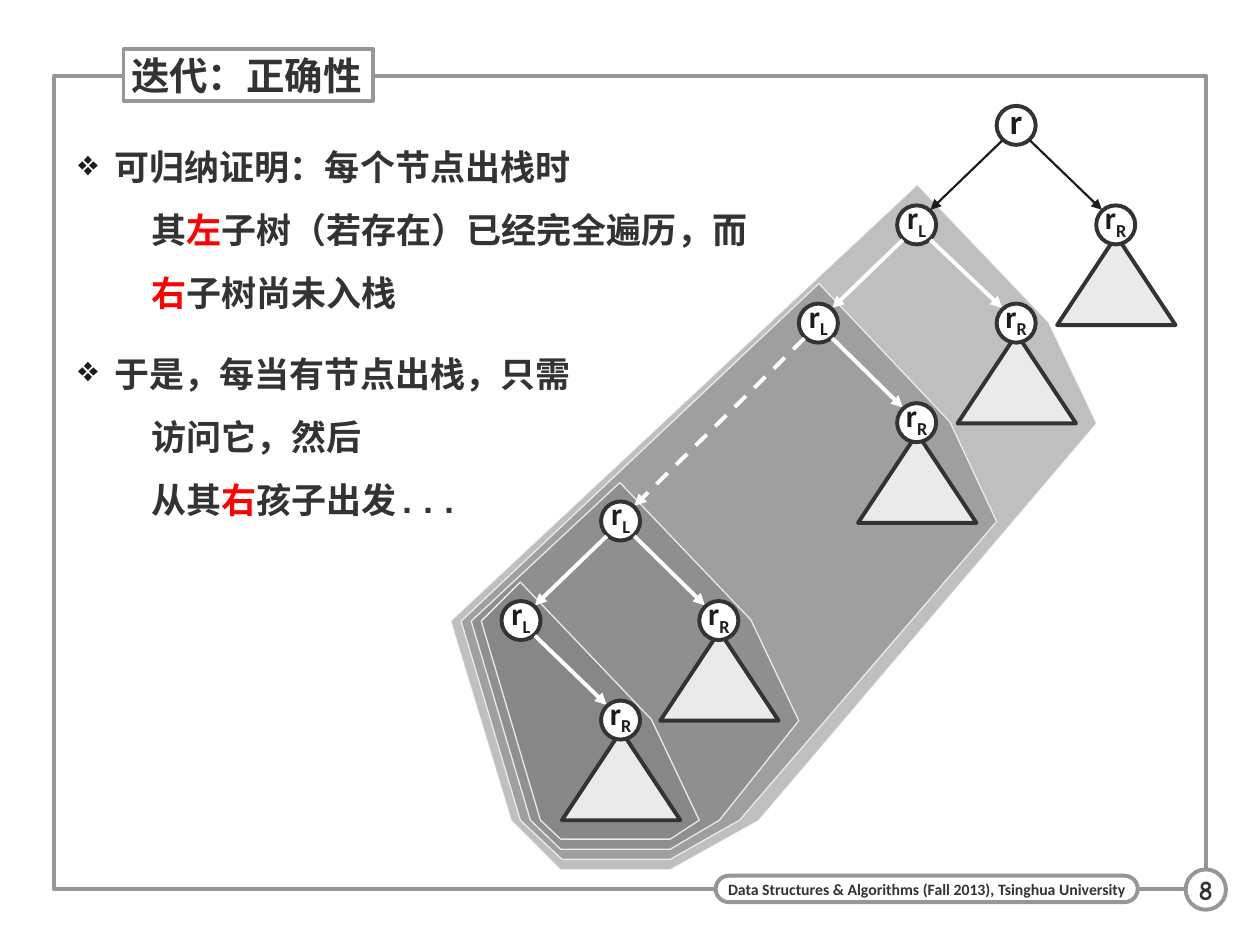
from dataclasses import dataclass
from typing import Any, Optional

from lxml import etree
from pptx import Presentation
from pptx.dml.color import RGBColor
from pptx.enum.dml import MSO_LINE
from pptx.enum.shapes import MSO_CONNECTOR, MSO_SHAPE
from pptx.enum.text import MSO_ANCHOR, PP_ALIGN
from pptx.oxml.ns import qn
from pptx.util import Emu, Pt

RECTANGLE, ROUNDED = MSO_SHAPE.RECTANGLE, MSO_SHAPE.ROUNDED_RECTANGLE
ELLIPSE, TRIANGLE = MSO_SHAPE.OVAL, MSO_SHAPE.ISOSCELES_TRIANGLE
STRAIGHT, DASH = MSO_CONNECTOR.STRAIGHT, MSO_LINE.DASH
TOP, MIDDLE = MSO_ANCHOR.TOP, MSO_ANCHOR.MIDDLE
LEFT, CENTER = PP_ALIGN.LEFT, PP_ALIGN.CENTER

WHITE = RGBColor(0xFF, 0xFF, 0xFF)
PALE = RGBColor(0xEA, 0xEA, 0xEA)
FRAME_GRAY = RGBColor(0x96, 0x96, 0x96)
REGION_GRAY = RGBColor(0x80, 0x80, 0x80)
INK = RGBColor(0x33, 0x33, 0x33)
BLACK = RGBColor(0x1C, 0x1C, 0x1C)
RED = RGBColor(0xFF, 0x00, 0x00)

EMU_PER_PX = 9144  # 100 px to the inch
NODE_SIZE = 31
ROOT_LEFT, ROOT_TOP = 791, 84
NODE_STEP = 78.6


def px(length: float) -> Emu:
    return Emu(round(length * EMU_PER_PX))


def set_attributes(target: Any, values: dict[str, Any]) -> None:
    for name, value in values.items():
        setattr(target, name, value)


@dataclass(frozen=True)
class Style:
    size: float
    font: str
    color: RGBColor = INK


@dataclass(frozen=True)
class Box:
    kind: MSO_SHAPE
    left: int
    top: int
    width: int
    height: int
    line: RGBColor = INK
    fill: Optional[RGBColor] = WHITE


@dataclass(frozen=True)
class Node:
    column: int
    row: int
    subscript: str = ""
    parent: Optional["Node"] = None

    @property
    def left(self) -> int:
        return ROOT_LEFT + round(self.column * NODE_STEP)

    @property
    def top(self) -> int:
        return ROOT_TOP + round(self.row * NODE_STEP)


@dataclass(frozen=True)
class Region:
    points: tuple[tuple[int, int], ...]
    line_width: float = 0.75


ROOT = Node(0, 0)
LEFT_1 = Node(-1, 1, "L", ROOT)
LEFT_2 = Node(-2, 2, "L", LEFT_1)
LEFT_3 = Node(-4, 4, "L", LEFT_2)
LEFT_4 = Node(-5, 5, "L", LEFT_3)
SPINE = (ROOT, LEFT_1, LEFT_2, LEFT_3, LEFT_4)
RIGHT_CHILDREN = tuple(Node(node.column + 1, node.row + 1, "R", node) for node in SPINE)

REGIONS = (
    Region(((445, 690), (532, 690), (602, 651), (870, 336), (832, 256),
            (728, 147), (358, 493), (406, 651)), 0.25),
    Region(((650, 225), (754, 335), (791, 414), (587, 651), (532, 682),
            (446, 682), (413, 651), (366, 493))),
    Region(((492, 383), (596, 492), (634, 572), (571, 651), (532, 674),
            (445, 674), (421, 651), (374, 493))),
    Region(((413, 462), (382, 493), (429, 651), (445, 666), (532, 666),
            (555, 651), (517, 571))),
)

# Paragraphs hold lines, and lines hold (text, colour) runs.
BODY = (
    ((("可归纳证明：每个节点出栈时", INK),),
     (("\t其", INK), ("左", RED), ("子树（若存在）已经完全遍历，而", INK)),
     (("\t", INK), ("右", RED), ("子树尚未入栈", INK))),
    ((("于是，每当有节点出栈，只需", INK),),
     (("\t访问它，然后", INK),),
     (("\t从其", INK), ("右", RED), ("孩子出发...", INK))),
)


def add_run(paragraph: Any, text: str, style: Style) -> Any:
    run = paragraph.add_run()
    run.text = text
    set_attributes(run.font, {"size": Pt(style.size), "name": style.font, "bold": True})
    run.font.color.rgb = style.color
    return run


def set_frame(frame: Any, insets: tuple[int, int, int, int], wrap: bool, anchor: MSO_ANCHOR) -> None:
    """Set the insets (left, top, right, bottom), the wrapping and the anchor."""
    left, top, right, bottom = map(px, insets)
    set_attributes(frame, {"margin_left": left, "margin_top": top, "margin_right": right,
                           "margin_bottom": bottom, "word_wrap": wrap, "vertical_anchor": anchor})


def add_box(slide: Any, box: Box) -> Any:
    shape = slide.shapes.add_shape(box.kind, *map(px, (box.left, box.top, box.width, box.height)))
    shape.shadow.inherit = False
    if box.fill is None:
        shape.fill.background()
    else:
        shape.fill.solid()
        shape.fill.fore_color.rgb = box.fill
    shape.line.color.rgb = box.line
    shape.line.width = Pt(2.25)
    return shape


def add_label(slide: Any, box: Box, text: str, style: Style,
              insets: tuple[int, int, int, int], alignment: PP_ALIGN = CENTER) -> Any:
    """Draw a box with one line of text and return its paragraph."""
    shape = add_box(slide, box)
    if box.kind == ROUNDED:
        shape.adjustments[0] = 0.5
    set_frame(shape.text_frame, insets, False, MIDDLE)
    paragraph = shape.text_frame.paragraphs[0]
    paragraph.alignment = alignment
    add_run(paragraph, text, style)
    return paragraph


def add_region(slide: Any, region: Region) -> None:
    builder = slide.shapes.build_freeform(*region.points[0], scale=EMU_PER_PX)
    builder.add_line_segments(region.points[1:], close=True)
    shape = builder.convert_to_shape()
    shape.shadow.inherit = False
    shape.fill.solid()
    shape.fill.fore_color.rgb = REGION_GRAY
    color = shape.fill._xPr.find(qn("a:solidFill"))[0]
    etree.SubElement(color, qn("a:alpha"), val="50000")
    shape.line.color.rgb = PALE
    shape.line.width = Pt(region.line_width)


def add_edge(slide: Any, parent: Node, child: Node) -> None:
    side = 1 if child.column > parent.column else -1
    middle = NODE_SIZE / 2
    connector = slide.shapes.add_connector(STRAIGHT, *map(px, (
        parent.left + middle + side * 11, parent.top + middle + 12,
        child.left + middle - side * 11, child.top + middle - 12)))
    from_root = parent is ROOT
    connector.line.color.rgb = BLACK if from_root else WHITE
    connector.line.width = Pt(1.25 if from_root else 2.25)
    if child.row - parent.row > 1:
        connector.line.dash_style = DASH
    etree.SubElement(connector.line._get_or_add_ln(), qn("a:tailEnd"), type="triangle")
    etree.SubElement(connector._element.spPr, qn("a:effectLst"))


def add_node(slide: Any, node: Node) -> None:
    """Draw a node with its edge from the parent and, for a right child, its subtree."""
    if node.subscript == "R":
        add_box(slide, Box(TRIANGLE, node.left - 31, node.top + 24, 94, 71, fill=PALE))
    if node.parent:
        add_edge(slide, node.parent, node)
    style = Style(18 if node.parent else 20, "Calibri", BLACK)
    circle = Box(ELLIPSE, node.left, node.top, NODE_SIZE, NODE_SIZE)
    paragraph = add_label(slide, circle, "r", style, (0, 0, 0, 8))
    if node.subscript:
        run = add_run(paragraph, node.subscript, style)
        run.font._element.set("baseline", "-25000")


def add_bullet(paragraph: Any) -> None:
    properties = paragraph._p.get_or_add_pPr()
    properties.set("marL", str(px(29)))
    properties.set("indent", str(px(-29)))
    bullet_color = etree.SubElement(properties, qn("a:buClr"))
    etree.SubElement(bullet_color, qn("a:srgbClr"), val=str(BLACK))
    etree.SubElement(properties, qn("a:buChar"), char="❖")
    tabs = etree.SubElement(properties, qn("a:tabLst"))
    for position in (29, 58):
        etree.SubElement(tabs, qn("a:tab"), pos=str(px(position)), algn="l")


def add_body(slide: Any) -> None:
    frame = slide.shapes.add_textbox(*map(px, (46, 91, 911, 591))).text_frame
    set_frame(frame, (16, 8, 0, 8), True, TOP)
    for index, lines in enumerate(BODY):
        paragraph = frame.add_paragraph() if index else frame.paragraphs[0]
        add_bullet(paragraph)
        set_attributes(paragraph, {"line_spacing": 1.5, "space_after": Pt(2.5),
                                   "space_before": Pt(7.5 if index else 0)})
        for line_index, runs in enumerate(lines):
            if line_index:
                paragraph.add_line_break()
            for text, color in runs:
                add_run(paragraph, text, Style(20, "Courier New", color))


def main() -> None:
    presentation = Presentation()
    set_attributes(presentation, {"slide_width": px(1000), "slide_height": px(750)})
    slide = presentation.slides.add_slide(presentation.slide_layouts[6])
    add_box(slide, Box(RECTANGLE, 43, 60, 914, 646, FRAME_GRAY, None))
    add_label(slide, Box(ROUNDED, 568, 695, 335, 21, FRAME_GRAY),
              "Data Structures & Algorithms (Fall 2013), Tsinghua University",
              Style(9, "Calibri"), (6, 0, 6, 0))
    add_label(slide, Box(ELLIPSE, 941, 690, 32, 32, FRAME_GRAY), "8",
              Style(16, "Comic Neue"), (4, 4, 4, 4))
    for region in REGIONS:
        add_region(slide, region)
    add_label(slide, Box(RECTANGLE, 98, 39, 198, 41, FRAME_GRAY), "迭代：正确性",
              Style(22, "Courier New"), (6, 1, 6, 1), LEFT)
    add_body(slide)
    for node in SPINE + RIGHT_CHILDREN:
        add_node(slide, node)
    presentation.save("out.pptx")


if __name__ == "__main__":
    main()
